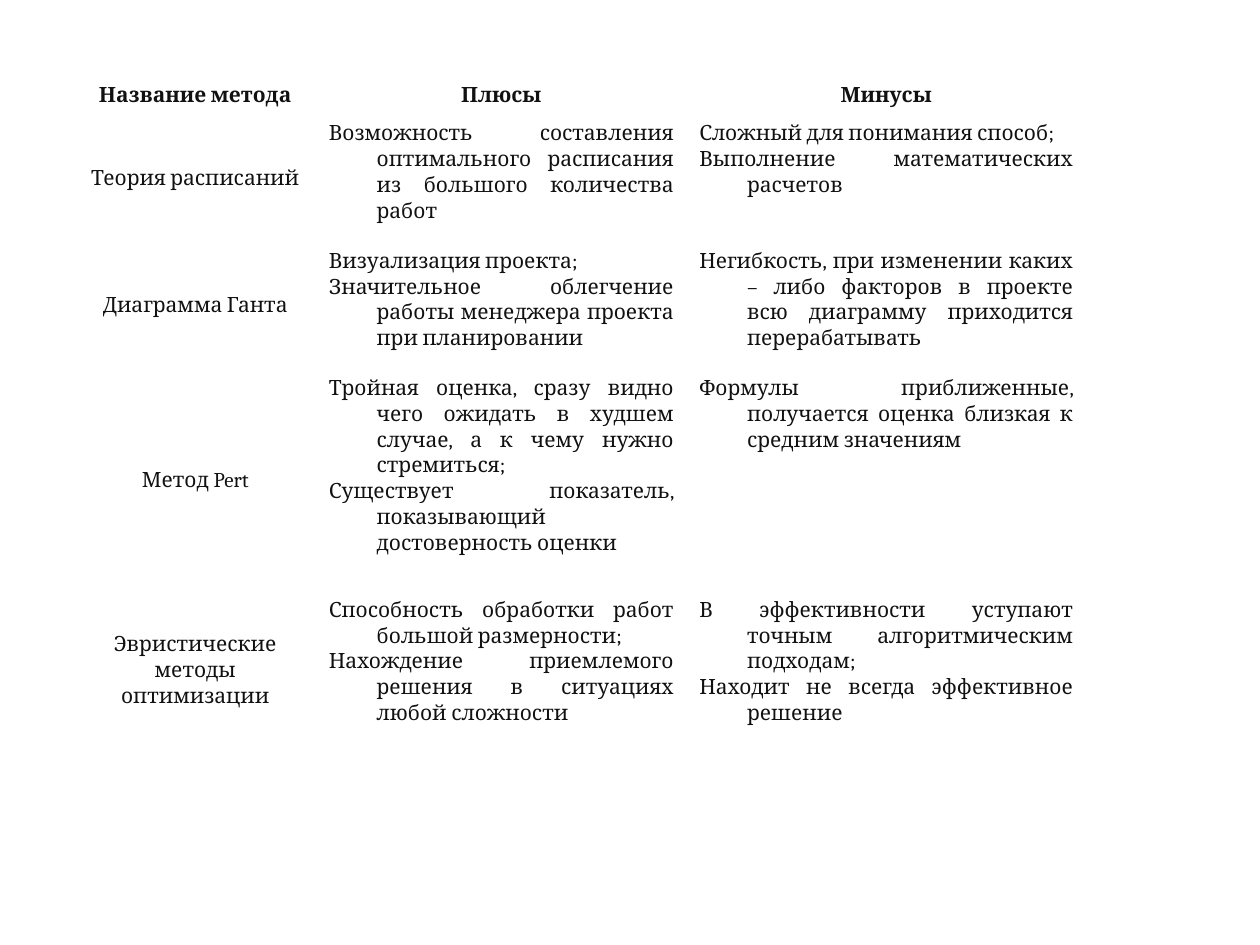
from pptx import Presentation
from pptx.dml.color import RGBColor
from pptx.enum.text import MSO_ANCHOR, PP_ALIGN
from pptx.util import Inches, Pt

TEXT_COLOR = RGBColor(0x11, 0x11, 0x11)
CELL_COLOR = RGBColor(0xFF, 0xFF, 0xFF)
FONT_NAME = "Cambria"
HANGING_INDENT = Inches(0.38)

COLUMN_WIDTHS = [1.92, 2.94, 3.17]
ROW_HEIGHTS = [0.25, 1.01, 1.01, 1.76, 1.26]

HEADERS = ["Название метода", "Плюсы", "Минусы"]

# Each method: name, advantages, drawbacks
METHODS = [
    (
        "Теория расписаний",
        ["Возможность составления оптимального расписания из большого количества работ"],
        ["Сложный для понимания способ;", "Выполнение математических расчетов"],
    ),
    (
        "Диаграмма Ганта",
        ["Визуализация проекта;",
         "Значительное облегчение работы менеджера проекта при планировании"],
        ["Негибкость, при изменении каких – либо факторов в проекте всю диаграмму "
         "приходится перерабатывать"],
    ),
    (
        "Метод Pert",
        ["Тройная оценка, сразу видно чего ожидать в худшем случае, а к чему нужно стремиться;",
         "Существует показатель, показывающий достоверность оценки"],
        ["Формулы приближенные, получается оценка близкая к средним значениям"],
    ),
    (
        "Эвристические методы оптимизации",
        ["Способность обработки работ большой размерности;",
         "Нахождение приемлемого решения в ситуациях любой сложности"],
        ["В эффективности уступают точным алгоритмическим подходам;",
         "Находит не всегда эффективное решение"],
    ),
]


def fill_cell(cell, lines, alignment, bold=False, hanging=False):
    cell.fill.solid()
    cell.fill.fore_color.rgb = CELL_COLOR
    text_frame = cell.text_frame
    text_frame.text = "\n".join(lines)
    for paragraph in text_frame.paragraphs:
        paragraph.alignment = alignment
        paragraph.line_spacing = 1.07
        if hanging:
            properties = paragraph._p.get_or_add_pPr()
            properties.set("marL", str(HANGING_INDENT))
            properties.set("indent", str(-HANGING_INDENT))
        font = paragraph.font
        font.name = FONT_NAME
        font.size = Pt(12)
        font.bold = bold
        font.color.rgb = TEXT_COLOR


def add_methods_table(slide):
    frame = slide.shapes.add_table(
        len(ROW_HEIGHTS), len(COLUMN_WIDTHS), Inches(0.59), Inches(0.6),
        Inches(sum(COLUMN_WIDTHS)), Inches(sum(ROW_HEIGHTS)))
    table = frame.table
    table.first_row = False
    table.horz_banding = False
    for column, width in zip(table.columns, COLUMN_WIDTHS):
        column.width = Inches(width)
    for row, height in zip(table.rows, ROW_HEIGHTS):
        row.height = Inches(height)

    # Header row
    for column_index, header in enumerate(HEADERS):
        fill_cell(table.cell(0, column_index), [header], PP_ALIGN.CENTER, bold=True)

    # One row per method
    for row_index, (name, *assessments) in enumerate(METHODS, start=1):
        fill_cell(table.cell(row_index, 0), [name], PP_ALIGN.CENTER)
        for column_index, lines in enumerate(assessments, start=1):
            fill_cell(table.cell(row_index, column_index), lines,
                      PP_ALIGN.JUSTIFY, hanging=True)

    # Names are centred vertically
    for row_index in range(len(ROW_HEIGHTS)):
        table.cell(row_index, 0).vertical_anchor = MSO_ANCHOR.MIDDLE


def main():
    presentation = Presentation()
    presentation.slide_width = Inches(10)
    presentation.slide_height = Inches(7.5)
    slide = presentation.slides.add_slide(presentation.slide_layouts[6])
    add_methods_table(slide)
    presentation.save("out.pptx")


if __name__ == "__main__":
    main()
